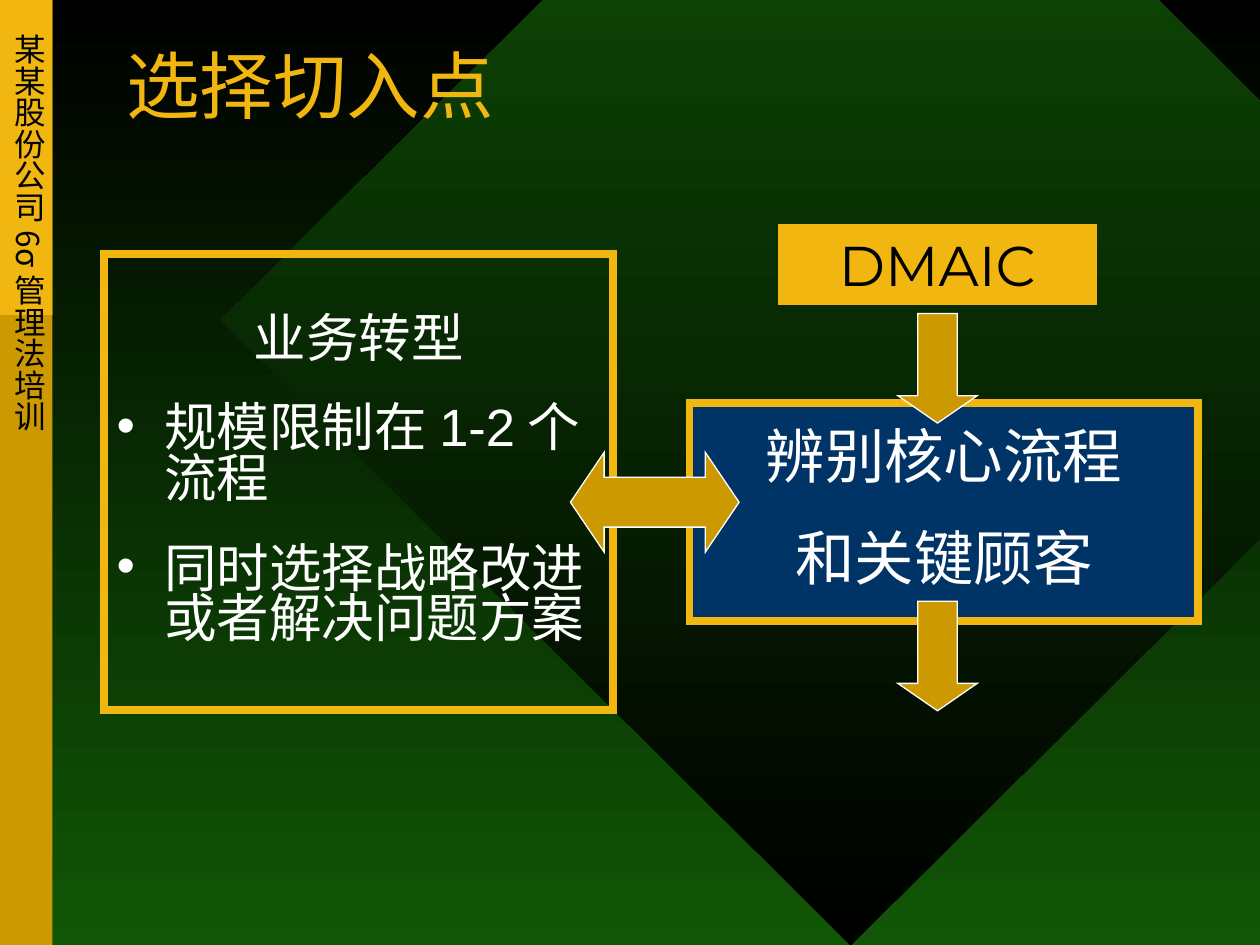
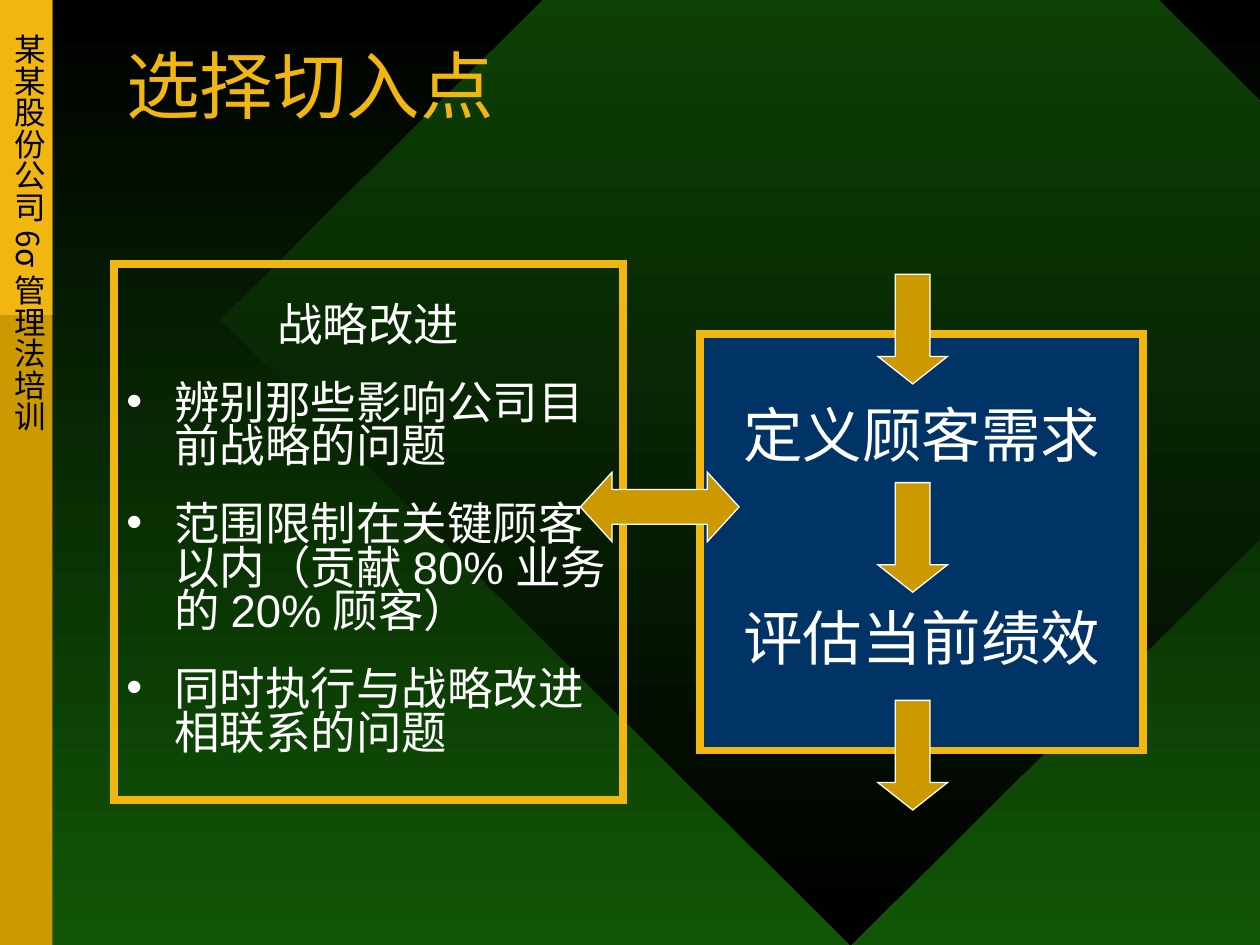
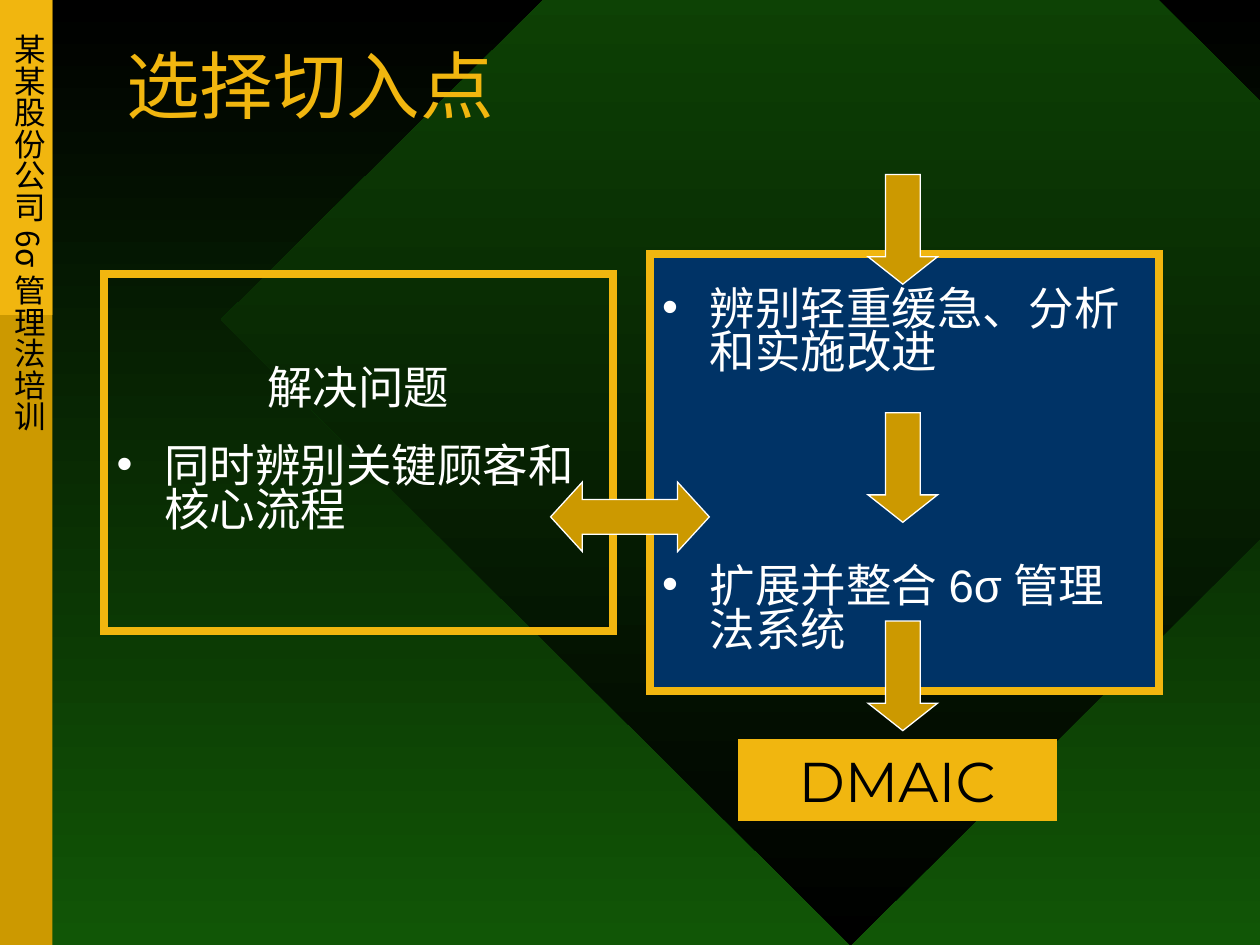
from typing import NamedTuple

from lxml import etree
from pptx import Presentation
from pptx.dml.color import RGBColor
from pptx.enum.shapes import MSO_SHAPE
from pptx.enum.text import MSO_ANCHOR, MSO_AUTO_SIZE, PP_ALIGN
from pptx.oxml.ns import qn
from pptx.util import Cm, Pt

RECT, DIAMOND = MSO_SHAPE.RECTANGLE, MSO_SHAPE.DIAMOND
DOWN, BOTH_WAYS = MSO_SHAPE.DOWN_ARROW, MSO_SHAPE.LEFT_RIGHT_ARROW
LEFT, CENTER = PP_ALIGN.LEFT, PP_ALIGN.CENTER
TOP, MIDDLE = MSO_ANCHOR.TOP, MSO_ANCHOR.MIDDLE
FIXED_SIZE = MSO_AUTO_SIZE.NONE

COLORS = {
    "black": "000000",
    "green": "115606",
    "gold": "F1B60F",
    "ochre": "CC9900",
    "navy": "003366",
    "white": "FFFFFF",
}
TEXT_FONT, TAG_FONT, RAIL_FONT = "Arial", "Montserrat", "Noto Sans CJK SC"
TITLE = "选择切入点"
RAIL_TEXT = "某某股份公司6σ管理法培训"
HANGING = 0.96
TWO_CONTENT = 3


class Box(NamedTuple):
    """A rectangle in centimetres."""
    left: float
    top: float
    width: float
    height: float

    def inner(self, dx, dy, width, height):
        return Box(self.left + dx, self.top + dy, width, height)

    def lengths(self):
        return [Cm(value) for value in self]


class Line(NamedTuple):
    """One paragraph of a panel; before is the space above it in points."""
    text: str
    bullet: bool = True
    before: float = None


SLIDE = Box(0, 0, 25.4, 19.05)
TITLE_BOX = Box(2.29, 0.71, 20.96, 2.24)


def color(name):
    return RGBColor.from_string(COLORS[name])


def paint(shape, fill=None, line=None, line_width=0.75):
    """Fill and outline a shape; outlines get sharp corners."""
    if fill:
        shape.fill.solid()
        shape.fill.fore_color.rgb = color(fill)
    else:
        shape.fill.background()
    if line:
        shape.line.color.rgb = color(line)
        shape.line.width = Pt(line_width)
        outline = shape.element.spPr.find(qn("a:ln"))
        etree.SubElement(outline, qn("a:miter"), lim="800000")
    else:
        shape.line.fill.background()


def fade_down(fill, start, end):
    fill.gradient()
    fill.gradient_angle = 270
    for stop, name in zip(fill.gradient_stops, (start, end)):
        stop.color.rgb = color(name)


def add_block(slide, kind, box, **paint_format):
    block = slide.shapes.add_shape(kind, *box.lengths())
    block.shadow.inherit = False
    paint(block, **paint_format)
    return block


def set_bullet(paragraph, bullet):
    """Give a hanging indent, with or without a white dot."""
    properties = paragraph._p.get_or_add_pPr()
    properties.set("marL", str(Cm(HANGING)))
    properties.set("indent", str(-Cm(HANGING)))
    if bullet:
        tint = etree.SubElement(properties, qn("a:buClr"))
        etree.SubElement(tint, qn("a:srgbClr"), val=COLORS["white"])
        etree.SubElement(properties, qn("a:buFont"), typeface=TEXT_FONT)
        etree.SubElement(properties, qn("a:buChar"), char="•")
    else:
        etree.SubElement(properties, qn("a:buNone"))


def write(paragraph, text, size, tint="white", font=TEXT_FONT, align=LEFT,
          before=0, spacing=1.0):
    paragraph.alignment = align
    paragraph.space_before = Pt(before)
    paragraph.line_spacing = spacing
    run = paragraph.add_run()
    run.text = text
    run.font.size = Pt(size)
    run.font.name = font
    run.font.color.rgb = color(tint)
    etree.SubElement(run.font._element, qn("a:ea"), typeface=font)


def set_frame(frame, anchor, side=0.25, end=0.13):
    frame.word_wrap = True
    frame.auto_size = FIXED_SIZE
    frame.vertical_anchor = anchor
    frame.margin_left = frame.margin_right = Cm(side)
    frame.margin_top = frame.margin_bottom = Cm(end)


def move_to_layout(layout, shapes):
    """Put the shapes behind the placeholders of the layout, in order."""
    for number, shape in enumerate(shapes):
        shape.element.nvSpPr.cNvPr.set("id", str(100 + number))
        layout.shapes.element.insert(2 + number, shape.element)


def add_rail_text(slide, box):
    rail_text = slide.shapes.add_textbox(*box.lengths())
    frame = rail_text.text_frame
    set_frame(frame, TOP, side=0.13, end=0.25)
    frame._txBody.bodyPr.set("vert", "eaVert")
    write(frame.paragraphs[0], RAIL_TEXT, 18, tint="black", font=RAIL_FONT,
          before=11.2)
    return rail_text


def decorate_layout(layout, slide, box):
    """Draw the shared backdrop and side rail on a slide, then move them."""
    fade_down(layout.background.fill, "black", "green")
    diamond = add_block(slide, DIAMOND, box.inner(4.45, -6.15, 25.4, 25.2))
    fade_down(diamond.fill, "green", "black")
    rail = add_block(slide, RECT, box.inner(0, 0, 1.06, box.height),
                     fill="ochre")
    rail_top = add_block(slide, RECT, box.inner(0, 0, 1.06, box.height / 3),
                         fill="gold")
    rail_text = add_rail_text(slide, box.inner(-0.17, 0.44, 1.27, 9.4))
    move_to_layout(layout, [diamond, rail, rail_top, rail_text])


def place(shape, box):
    shape.left, shape.top, shape.width, shape.height = box.lengths()


def set_title(slide, box):
    title = slide.shapes.title
    place(title, box)
    set_frame(title.text_frame, MIDDLE)
    write(title.text_frame.paragraphs[0], TITLE, 42, tint="gold",
          spacing=0.85)


def fill_panel(panel, box, lines, size, fill=None):
    """Turn a body placeholder into a gold-framed panel of text."""
    place(panel, box)
    paint(panel, fill=fill, line="gold", line_width=4.5)
    frame = panel.text_frame
    set_frame(frame, MIDDLE)
    for number, line in enumerate(lines):
        paragraph = frame.add_paragraph() if number else frame.paragraphs[0]
        write(paragraph, line.text, size, spacing=0.8,
              align=LEFT if line.bullet else CENTER,
              before=line.before or size * 0.75)
        set_bullet(paragraph, line.bullet)


def add_arrow(slide, kind, box):
    length, share = (box.height, 0.25) if kind == DOWN else (box.width, 0.2)
    arrow = add_block(slide, kind, box, fill="ochre", line="white")
    arrow.adjustments[0] = 0.5
    arrow.adjustments[1] = length * share / min(box.width, box.height)


def add_tag(slide, box):
    tag = add_block(slide, RECT, box, fill="gold", line="gold")
    set_frame(tag.text_frame, TOP)
    write(tag.text_frame.paragraphs[0], "DMAIC", 32, tint="black",
          font=TAG_FONT, align=CENTER, before=20)


def add_flow(slide, box, lines, size, steps, step_width, link, tag_at=None):
    """Build the process panel; steps, link and tag count from its corner."""
    fill_panel(slide.placeholders[2], box, lines, size, fill="navy")
    add_arrow(slide, BOTH_WAYS, box.inner(*link))
    if tag_at:
        add_tag(slide, box.inner(*tag_at, 6.4, 1.62))
    step_left, step_tops = steps
    for top in step_tops:
        add_arrow(slide, DOWN, box.inner(step_left, top, step_width, 2.21))


def build_entry_slide(slide, approach, flow):
    set_title(slide, TITLE_BOX)
    fill_panel(slide.placeholders[1], **approach)
    add_flow(slide, **flow)


ENTRY_POINTS = [
    (
        dict(box=Box(2.1, 5.12, 10.26, 9.2), size=30, lines=[
            Line("业务转型", bullet=False),
            Line("规模限制在1-2个流程"),
            Line("同时选择战略改进或者解决问题方案"),
        ]),
        dict(box=Box(13.9, 8.13, 10.26, 4.39), size=34, lines=[
            Line("辨别核心流程", bullet=False),
            Line("和关键顾客", bullet=False),
        ], steps=(4.2, [-1.81, 3.99]), step_width=1.6,
            link=(-2.4, 0.99, 3.4, 2.01), tag_at=(1.8, -3.61)),
    ),
    (
        dict(box=Box(2.3, 5.33, 10.26, 10.8), size=26, lines=[
            Line("战略改进", bullet=False),
            Line("辨别那些影响公司目前战略的问题"),
            Line("范围限制在关键顾客以内（贡献80%业务的20%顾客）"),
            Line("同时执行与战略改进相联系的问题"),
        ]),
        dict(box=Box(14.11, 6.73, 8.94, 8.4), size=34, lines=[
            Line("定义顾客需求", bullet=False),
            Line("评估当前绩效", bullet=False, before=83.5),
        ], steps=(3.59, [-1.2, 3, 7.39]), step_width=1.4,
            link=(-2.41, 2.79, 3.2, 1.4)),
    ),
    (
        dict(box=Box(2.1, 5.52, 10.26, 7.2), size=26, lines=[
            Line("解决问题", bullet=False),
            Line("同时辨别关键顾客和核心流程"),
        ]),
        dict(box=Box(13.1, 5.12, 10.26, 8.81), size=26, lines=[
            Line("辨别轻重缓急、分析和实施改进"),
            Line("扩展并整合6σ管理法系统", before=108.5),
        ], steps=(4.4, [-1.6, 3.2, 7.4]), step_width=1.4,
            link=(-2, 4.6, 3.2, 1.4), tag_at=(1.79, 9.8)),
    ),
]


def main():
    deck = Presentation()
    deck.slide_width, deck.slide_height = Cm(SLIDE.width), Cm(SLIDE.height)
    layout = deck.slide_layouts[TWO_CONTENT]
    slides = [deck.slides.add_slide(layout) for _ in ENTRY_POINTS]
    decorate_layout(layout, slides[0], SLIDE)
    for slide, (approach, flow) in zip(slides, ENTRY_POINTS):
        build_entry_slide(slide, approach, flow)
    deck.save("out.pptx")


if __name__ == "__main__":
    main()
